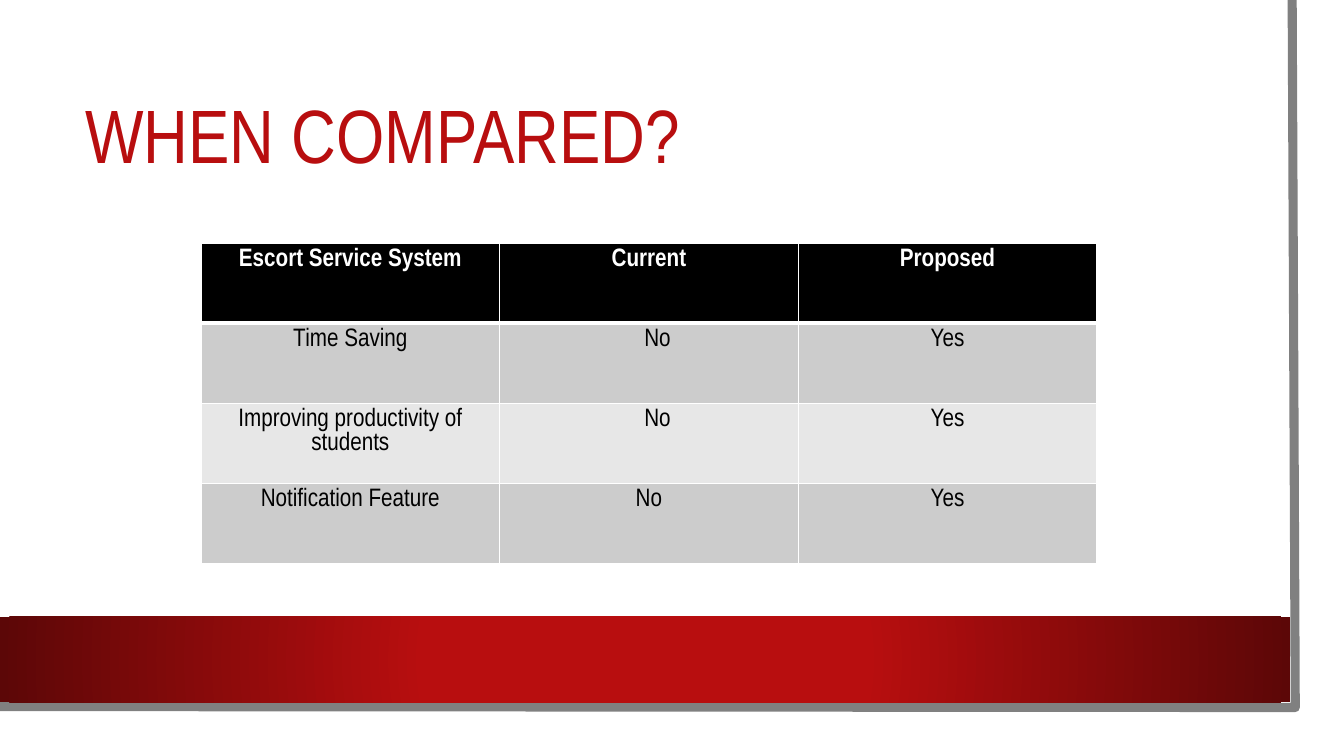
from dataclasses import dataclass

from lxml.etree import SubElement
from pptx import Presentation
from pptx.dml.color import RGBColor
from pptx.enum.shapes import MSO_SHAPE as Preset
from pptx.enum.text import MSO_ANCHOR as Anchor, PP_ALIGN as Align
from pptx.oxml.ns import qn
from pptx.shapes.autoshape import Shape
from pptx.slide import Slide
from pptx.table import _Cell as Cell
from pptx.text.text import TextFrame
from pptx.util import Pt

FONT = "Arial Narrow"
RED, DARK_RED, GREY = "B80E0F", "5C0707", "808080"
WHITE, BLACK = "FFFFFF", "000000"
NUDGE = 12.3  # moves a centred answer slightly to the right


@dataclass
class Box:
    left: float
    top: float
    width: float
    height: float

    def points(self) -> tuple[Pt, Pt, Pt, Pt]:
        return Pt(self.left), Pt(self.top), Pt(self.width), Pt(self.height)


@dataclass
class Row:
    feature: str
    current: str
    proposed: str
    fill: str
    color: str = BLACK
    bold: bool = False
    bottom_line: float = 1
    top_line: float = 1
    nudge: float = 0


ROWS = [
    Row("Escort Service System", "Current", "Proposed", BLACK, WHITE, bold=True, bottom_line=3),
    Row("Time Saving", "No", "Yes", "CCCCCC", top_line=3, nudge=NUDGE),
    Row("Improving productivity of students", "No", "Yes", "E7E7E7", nudge=NUDGE),
    Row("Notification Feature", "No", "Yes", "CCCCCC"),
]


def rgb(value: str) -> RGBColor:
    return RGBColor.from_string(value)


def write(frame: TextFrame, text: str, size: float, color: str,
          bold: bool = False, align: Align = Align.LEFT, spacing: float = 1) -> None:
    paragraph = frame.paragraphs[0]
    paragraph.alignment = align
    paragraph.line_spacing = spacing
    run = paragraph.add_run()
    run.text = text
    run.font.name = FONT
    run.font.size = Pt(size)
    run.font.bold = bold
    run.font.color.rgb = rgb(color)


def add_rectangle(slide: Slide, box: Box) -> Shape:
    shape = slide.shapes.add_shape(Preset.RECTANGLE, *box.points())
    shape.shadow.inherit = False
    shape.line.fill.background()
    return shape


def add_edge(slide: Slide) -> None:
    builder = slide.shapes.build_freeform(Pt(923), Pt(0))
    builder.add_line_segments([(Pt(925.2), Pt(505.4)), (Pt(-2.2), Pt(504.7))], close=False)
    shape = builder.convert_to_shape()
    shape.shadow.inherit = False
    shape.fill.background()
    shape.line.color.rgb = rgb(GREY)
    shape.line.width = Pt(6.5)


def add_band(slide: Slide) -> None:
    fill = add_rectangle(slide, Box(0, 440.6, 921.6, 61.2)).fill
    fill.gradient()
    for stop, position, color in zip(fill.gradient_stops, (0.34, 1), (RED, DARK_RED)):
        stop.position = position
        stop.color.rgb = rgb(color)
    # Turn the linear gradient into a radial one
    gradient = slide.shapes[-1].element.spPr.find(qn("a:gradFill"))
    gradient.remove(gradient.find(qn("a:lin")))
    radial = SubElement(gradient, qn("a:path"), {"path": "circle"})
    SubElement(radial, qn("a:fillToRect"), {side: "50000" for side in "ltrb"})


def set_borders(cell: Cell, widths: dict[str, float]) -> None:
    properties = cell._tc.get_or_add_tcPr()
    for index, (side, width) in enumerate(widths.items()):
        line = properties.makeelement(qn(f"a:ln{side}"), {"w": str(Pt(width))})
        solid = SubElement(line, qn("a:solidFill"))
        SubElement(solid, qn("a:srgbClr"), {"val": WHITE})
        properties.insert(index, line)


def add_comparison(slide: Slide) -> None:
    box = Box(143.6, 173.5, 639.9, 229.2)
    table = slide.shapes.add_table(len(ROWS), 3, *box.points()).table
    for column in table.columns:
        column.width = Pt(box.width / 3)
    for row_index, row in enumerate(ROWS):
        table.rows[row_index].height = Pt(box.height / len(ROWS))
        for column_index, text in enumerate((row.feature, row.current, row.proposed)):
            cell = table.cell(row_index, column_index)
            cell.fill.solid()
            cell.fill.fore_color.rgb = rgb(row.fill)
            cell.margin_left = Pt(7.2 + (row.nudge if column_index == 1 else 0))
            write(cell.text_frame, text, 18, row.color, row.bold, Align.CENTER)
            set_borders(cell, {"L": 1, "R": 1, "T": row.top_line, "B": row.bottom_line})


def main() -> None:
    presentation = Presentation()
    presentation.slide_width, presentation.slide_height = Pt(960), Pt(540)
    slide = presentation.slides.add_slide(presentation.slide_layouts[6])

    # Backdrop: white sheet, grey edge, red band
    sheet = add_rectangle(slide, Box(0, 0, 943.2, 523.4))
    sheet.fill.solid()
    sheet.fill.fore_color.rgb = rgb(WHITE)
    add_edge(slide)
    add_band(slide)

    # Title
    title = slide.shapes.add_textbox(*Box(54, 54, 818.6, 90.7).points()).text_frame
    title.word_wrap = True
    title.vertical_anchor = Anchor.MIDDLE
    write(title, "WHEN COMPARED?", 54, RED, spacing=0.9)

    # Comparison table
    add_comparison(slide)
    presentation.save("out.pptx")


if __name__ == "__main__":
    main()
